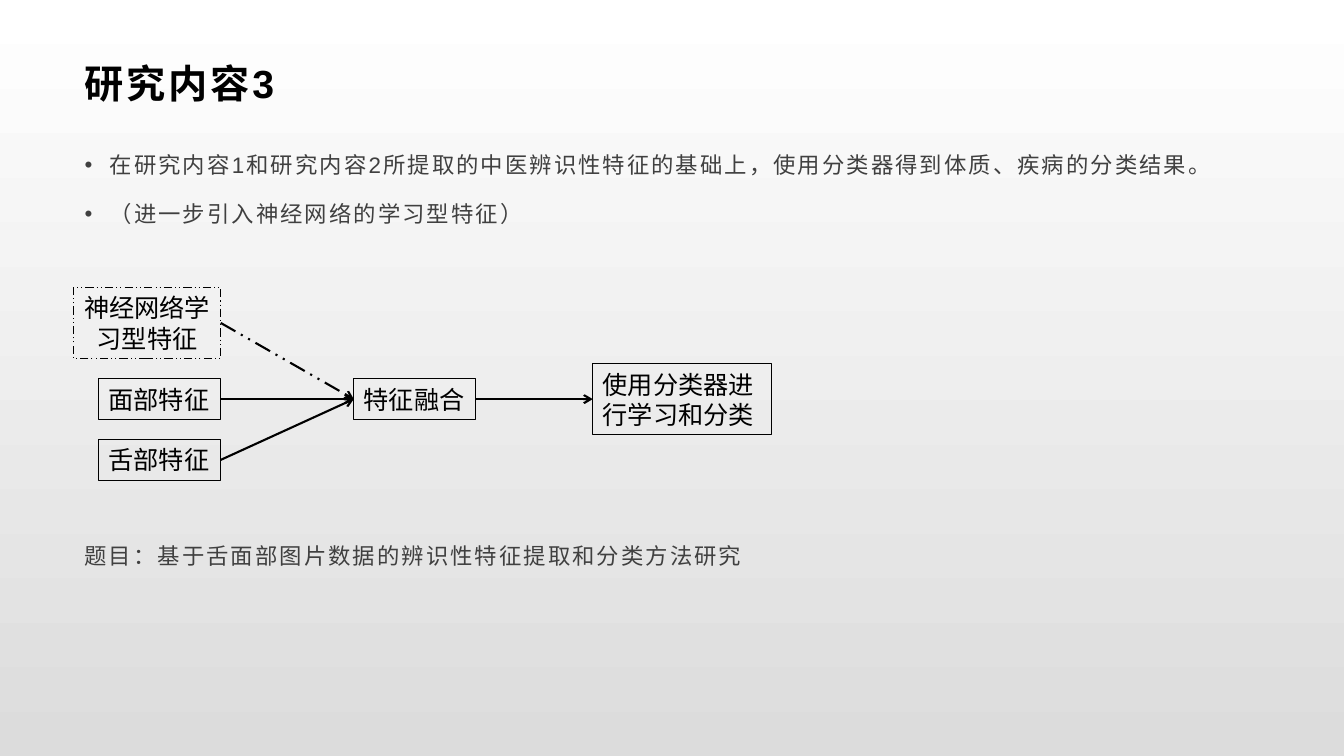
"""Build the slide on feature fusion and classification."""
import pptx
import pptx.util
import pptx.dml.color
import pptx.enum.dml
import pptx.enum.shapes
import pptx.enum.text
import pptx.oxml.ns
import lxml.etree

Pt = pptx.util.Pt
RGB = pptx.dml.color.RGBColor
Align = pptx.enum.text.PP_ALIGN
Anchor = pptx.enum.text.MSO_ANCHOR
qn = pptx.oxml.ns.qn

BLACK = RGB(0x00, 0x00, 0x00)
GREY = RGB(0x40, 0x40, 0x40)
BACKGROUND = (RGB(0xFF, 0xFF, 0xFF), RGB(0xDC, 0xDC, 0xDC))
DASHED = pptx.enum.dml.MSO_LINE.DASH_DOT_DOT

TITLE = "研究内容3"
BULLETS = [
    "在研究内容1和研究内容2所提取的中医辨识性特征的基础上，使用分类器得到体质、疾病的分类结果。",
    "（进一步引入神经网络的学习型特征）",
]
TOPIC = "题目：基于舌面部图片数据的辨识性特征提取和分类方法研究"
FEATURES = [
    ("神经网络学习型特征", 105.2, 51, DASHED, Align.CENTER),
    ("面部特征", 87.2, 29, None, Align.LEFT),
    ("舌部特征", 87.2, 29, None, Align.LEFT),
]
FUSION = ("特征融合", 252.7, 87.2, 29)
CLASSIFIER = ("使用分类器进行学习和分类", 423.4, 127.4, 51)

MARGIN_LEFT, TEXT_WIDTH = 52.5, 854.6
FEATURES_TOP, FEATURES_RIGHT, FEATURE_GAP = 205.2, 157.7, 14.4
BULLET_INDENT = 18
TOPIC_GAP = 209.6


def write(paragraph, text, *, size=18, color=BLACK, bold=False, spacing=0, align=Align.LEFT):
    """Put formatted text into a paragraph."""
    paragraph.alignment = align
    run = paragraph.add_run()
    run.text = text
    run.font.name = "Arial"
    run.font.size = Pt(size)
    run.font.bold = bold
    run.font.color.rgb = color
    run.font._element.set("spc", str(int(spacing * 100)))


def set_frame(frame, anchor, left, top, right, bottom):
    """Set wrapping, anchor and insets of a text frame."""
    frame.word_wrap = True
    frame.auto_size = pptx.enum.text.MSO_AUTO_SIZE.NONE
    frame.vertical_anchor = anchor
    frame.margin_left, frame.margin_top = Pt(left), Pt(top)
    frame.margin_right, frame.margin_bottom = Pt(right), Pt(bottom)


def add_bullet(paragraph):
    """Give a paragraph a hanging bullet."""
    properties = paragraph._p.get_or_add_pPr()
    properties.set("marL", str(Pt(BULLET_INDENT)))
    properties.set("indent", str(-Pt(BULLET_INDENT)))
    lxml.etree.SubElement(properties, qn("a:buFont")).set("typeface", "Arial")
    lxml.etree.SubElement(properties, qn("a:buChar")).set("char", "•")


def add_step(slide, text, left, middle, width, height, dash=None, align=Align.LEFT):
    """Draw an outlined step centred on a height."""
    step = slide.shapes.add_shape(
        pptx.enum.shapes.MSO_SHAPE.RECTANGLE,
        Pt(left), Pt(middle - height / 2), Pt(width), Pt(height))
    step.shadow.inherit = False
    step.fill.background()
    step.line.color.rgb = BLACK
    step.line.width = Pt(0.75)
    if dash:
        step.line.dash_style = dash
    set_frame(step.text_frame, Anchor.MIDDLE, 7.2, 3.6, 7.2, 3.6)
    write(step.text_frame.paragraphs[0], text, align=align)
    return step


def add_arrow(slide, source, target, dash=None):
    """Join the right side of one step to the left side of another."""
    arrow = slide.shapes.add_connector(pptx.enum.shapes.MSO_CONNECTOR.STRAIGHT, 0, 0, 0, 0)
    arrow.begin_connect(source, 3)
    arrow.end_connect(target, 1)
    arrow.line.color.rgb = BLACK
    arrow.line.width = Pt(1.5)
    if dash:
        arrow.line.dash_style = dash
    outline = arrow.line._get_or_add_ln()
    lxml.etree.SubElement(outline, qn("a:tailEnd")).set("type", "arrow")
    lxml.etree.SubElement(arrow._element.spPr, qn("a:effectLst"))


def add_texts(slide):
    """Fill the title and the body text."""
    title = slide.shapes.title
    title.left, title.top = Pt(MARGIN_LEFT), Pt(33.8)
    title.width, title.height = Pt(TEXT_WIDTH), Pt(51.1)
    set_frame(title.text_frame, Anchor.MIDDLE, 7.9, 2.9, 5.8, 2.9)
    write(title.text_frame.paragraphs[0], TITLE, size=28, bold=True, spacing=2)

    body = slide.shapes.add_textbox(Pt(MARGIN_LEFT), Pt(102.2), Pt(TEXT_WIDTH), Pt(396.7))
    set_frame(body.text_frame, Anchor.TOP, 7.9, 0, 6.5, 0)
    for index, text in enumerate(BULLETS + [TOPIC]):
        paragraph = body.text_frame.paragraphs[0] if index == 0 else body.text_frame.add_paragraph()
        paragraph.line_spacing = 1.3
        paragraph.space_after = Pt(10)
        if text == TOPIC:
            paragraph.space_before = Pt(TOPIC_GAP)
        else:
            add_bullet(paragraph)
        write(paragraph, text, size=16, color=GREY, spacing=1.5)


def add_flow(slide):
    """Draw the features, their fusion and the classifier."""
    features = []
    top = FEATURES_TOP
    for text, width, height, dash, align in FEATURES:
        middle = top + height / 2
        step = add_step(slide, text, FEATURES_RIGHT - width, middle, width, height, dash, align)
        features.append((step, middle, dash))
        top += height + FEATURE_GAP

    axis = features[1][1]
    fusion, classifier = [
        add_step(slide, text, left, axis, width, height)
        for text, left, width, height in (FUSION, CLASSIFIER)]
    for step, _, dash in features:
        add_arrow(slide, step, fusion, dash)
    add_arrow(slide, fusion, classifier)


def main():
    """Assemble and save the slide."""
    deck = pptx.Presentation()
    deck.slide_width, deck.slide_height = Pt(960), Pt(540)
    slide = deck.slides.add_slide(deck.slide_layouts[5])
    backdrop = slide.background.fill
    backdrop.gradient()
    backdrop.gradient_angle = 270
    for stop, color in zip(backdrop.gradient_stops, BACKGROUND):
        stop.color.rgb = color
    add_texts(slide)
    add_flow(slide)
    deck.save("out.pptx")


if __name__ == "__main__":
    main()
